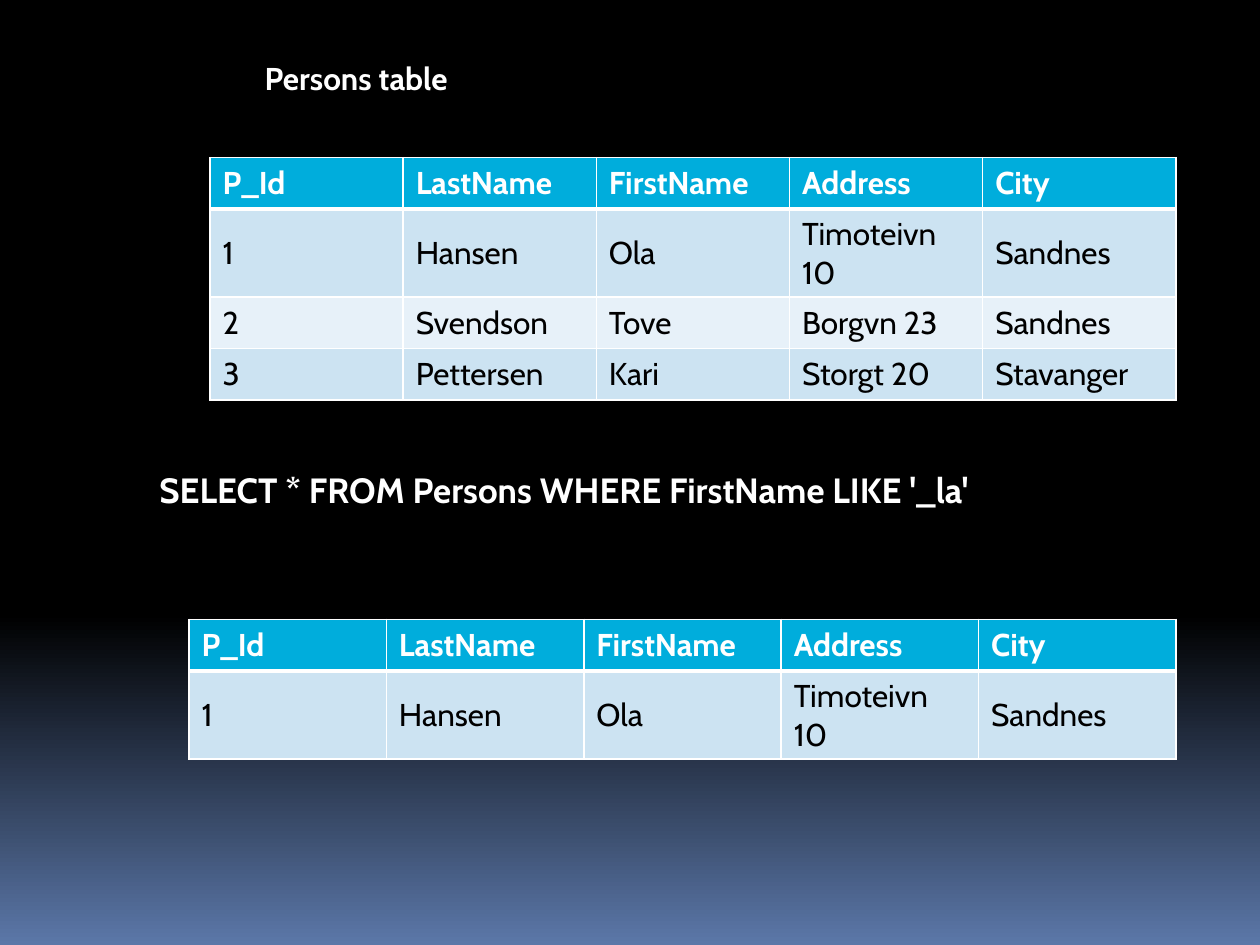
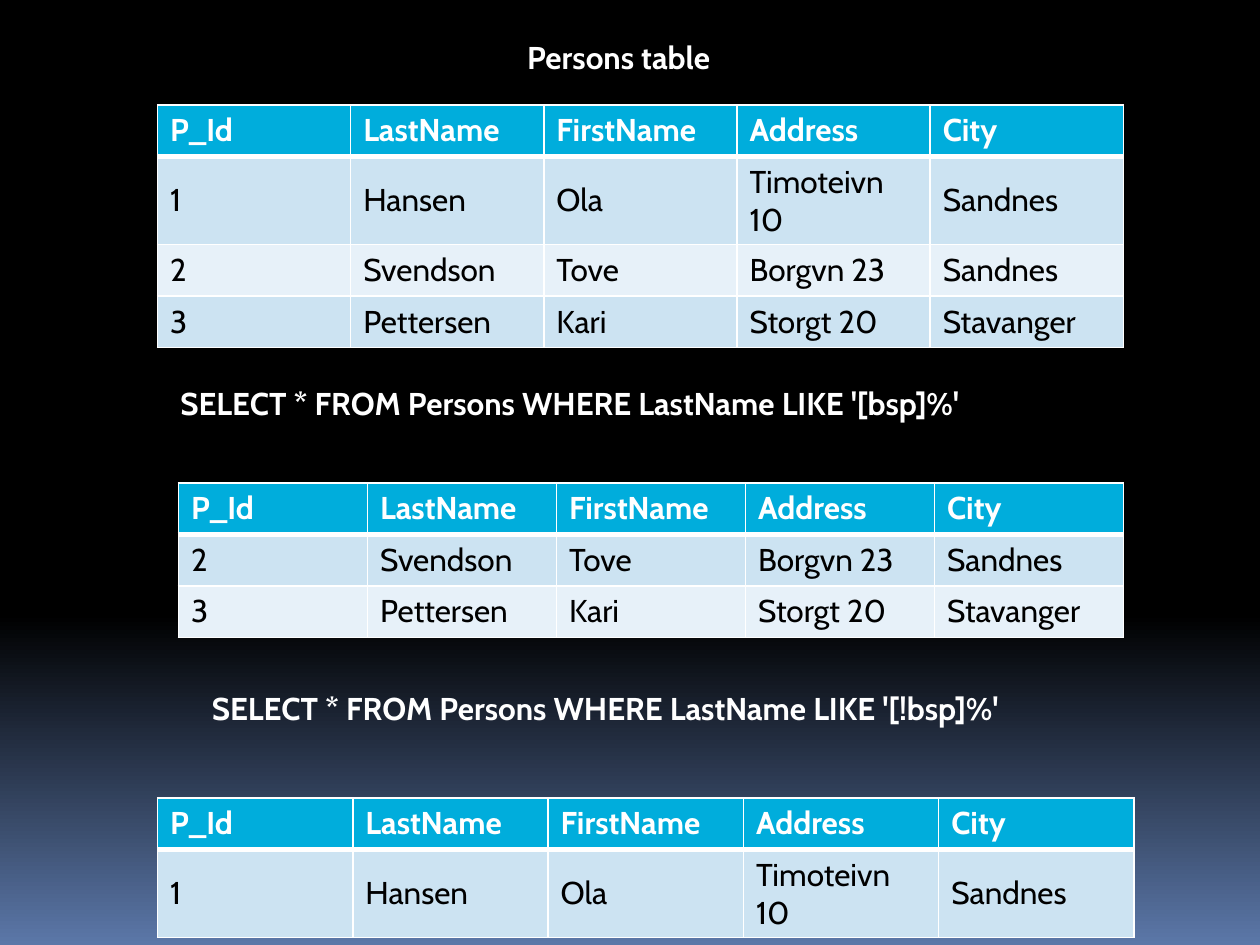
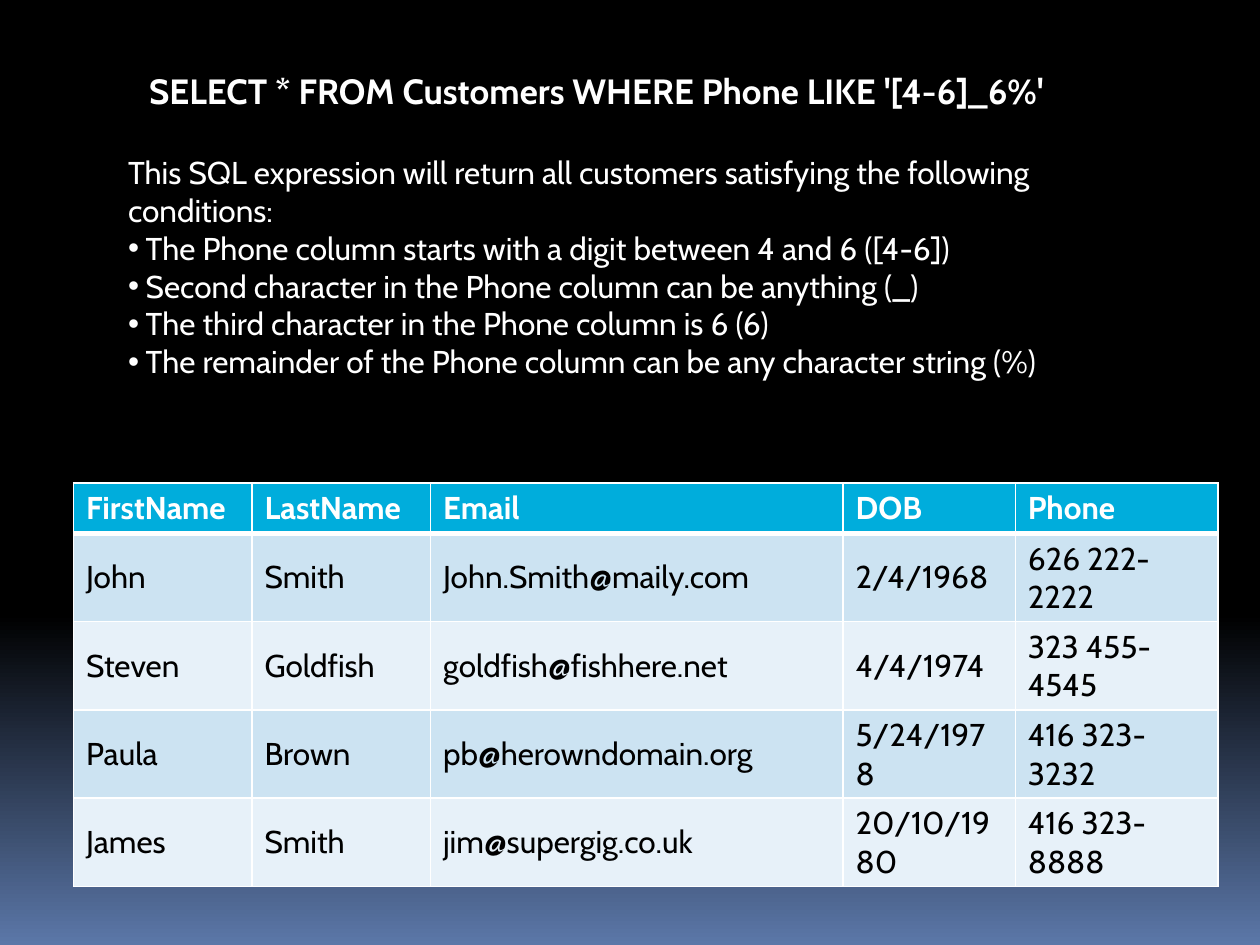
from copy import deepcopy

from pptx import Presentation
from pptx.dml.color import RGBColor
from pptx.enum.text import MSO_ANCHOR, MSO_AUTO_SIZE, PP_ALIGN
from pptx.oxml import parse_xml
from pptx.oxml.ns import nsdecls, qn
from pptx.util import Inches, Pt

TOP, MIDDLE = MSO_ANCHOR.TOP, MSO_ANCHOR.MIDDLE
GROW = MSO_AUTO_SIZE.SHAPE_TO_FIT_TEXT
LEFT = PP_ALIGN.LEFT
TITLE_ONLY, TITLE_AND_BODY = 5, 1

FONT = "Cabin"
WHITE, BLACK, DUSK = "FFFFFF", "000000", "5B77A8"
HEADER, BAND_DARK, BAND_LIGHT = "00ADDC", "CCE3F2", "E7F1F9"
GRID_COLUMNS, GRID_ROWS = 120, 90
ONE_LINE, TWO_LINES = 4.9, 8.2

PERSON_FIELDS = ["P_Id", "LastName", "FirstName", "Address", "City"]
HANSEN = ["1", "Hansen", "Ola", "Timoteivn 10", "Sandnes"]
SVENDSON = ["2", "Svendson", "Tove", "Borgvn 23", "Sandnes"]
PETTERSEN = ["3", "Pettersen", "Kari", "Storgt 20", "Stavanger"]
PERSONS = [PERSON_FIELDS, HANSEN, SVENDSON, PETTERSEN]
PERSONS_HEIGHTS = [ONE_LINE, TWO_LINES, ONE_LINE, ONE_LINE]

CUSTOMERS = [
    ["FirstName", "LastName", "Email", "DOB", "Phone"],
    ["John", "Smith", "John.Smith@maily.com", "2/4/1968", "626 222-2222"],
    ["Steven", "Goldfish", "goldfish@fishhere.net", "4/4/1974", "323 455-4545"],
    ["Paula", "Brown", "pb@herowndomain.org", "5/24/1978", "416 323-3232"],
    ["James", "Smith", "jim@supergig.co.uk", "20/10/1980", "416 323-8888"],
]
CONDITIONS = [
    "The Phone column starts with a digit between 4 and 6 ([4-6])",
    "Second character in the Phone column can be anything (_)",
    "The third character in the Phone column is 6 (6)",
    "The remainder of the Phone column can be any character string (%)",
]


def rgb(value):
    return RGBColor.from_string(value)


class SqlDeck:
    def __init__(self):
        self.deck = Presentation()
        self.deck.slide_width, self.deck.slide_height = Inches(10), Inches(7.5)
        self.page = None
        self.paint_background()

    def paint_background(self):
        master = self.deck.slide_master
        fill = master.background.fill
        fill.gradient()
        fill.gradient_angle = 270
        first = master.element.find(".//" + qn("a:gsLst"))[0]
        first.addnext(deepcopy(first))
        stops = [(0, BLACK), (0.65, BLACK), (1, DUSK)]
        for stop, (position, color) in zip(fill.gradient_stops, stops):
            stop.position = position
            stop.color.rgb = rgb(color)

    def across(self, columns):
        return round(self.deck.slide_width * columns / GRID_COLUMNS)

    def down(self, rows):
        return round(self.deck.slide_height * rows / GRID_ROWS)

    def frame(self, left, top, width, height):
        return self.across(left), self.down(top), self.across(width), self.down(height)

    def new_page(self, layout=TITLE_ONLY):
        self.page = self.deck.slides.add_slide(self.deck.slide_layouts[layout])

    def set_text(self, para, text, size=18, color=WHITE, bold=False):
        para.text = text
        para.alignment = LEFT
        para.space_before = Pt(0)
        for span in para.runs:
            span.font.name, span.font.size = FONT, Pt(size)
            span.font.bold = bold
            span.font.color.rgb = rgb(color)

    def prepare(self, box, place, wrap=True):
        box.left, box.top, box.width, box.height = self.frame(*place)
        text_frame = box.text_frame
        text_frame.word_wrap = wrap
        text_frame.auto_size = GROW
        text_frame.vertical_anchor = TOP
        return text_frame

    def title(self, text, place, size=18, wrap=False):
        text_frame = self.prepare(self.page.shapes.title, place, wrap)
        self.set_text(text_frame.paragraphs[0], text, size, bold=True)

    def query(self, text, place, size=18):
        box = self.page.shapes.add_textbox(*self.frame(*place))
        text_frame = self.prepare(box, place)
        self.set_text(text_frame.paragraphs[0], text, size, bold=True)

    def bullet_list(self, lead, items, place):
        text_frame = self.prepare(self.page.placeholders[1], place)
        for index, text in enumerate([lead] + items):
            para = text_frame.add_paragraph() if index else text_frame.paragraphs[0]
            properties = para._p.get_or_add_pPr()
            indent = Inches(0.14) if index else 0
            properties.set("marL", str(indent))
            properties.set("indent", str(-indent))
            mark = '<a:buChar %s char="•"/>' if index else "<a:buNone %s/>"
            properties.append(parse_xml(mark % nsdecls("a")))
            self.set_text(para, text)

    def border(self, cell, header):
        properties = cell._tc.get_or_add_tcPr()
        for side in "LRTB":
            width = Pt(3 if header and side == "B" else 1)
            properties.append(parse_xml(
                f'<a:ln{side} {nsdecls("a")} w="{width}"><a:solidFill>'
                f'<a:srgbClr val="{WHITE}"/></a:solidFill></a:ln{side}>'))

    def table(self, records, left, top, widths, heights):
        place = self.frame(left, top, sum(widths), sum(heights))
        table = self.page.shapes.add_table(len(records), len(widths), *place).table
        for column, width in zip(table.columns, widths):
            column.width = self.across(width)
        for index, (row, height, record) in enumerate(zip(table.rows, heights, records)):
            row.height = self.down(height)
            header = index == 0
            fill = HEADER if header else BAND_DARK if index % 2 else BAND_LIGHT
            for cell, text in zip(row.cells, record):
                self.border(cell, header)
                cell.fill.solid()
                cell.fill.fore_color.rgb = rgb(fill)
                cell.vertical_anchor = MIDDLE
                color = WHITE if header else BLACK
                self.set_text(cell.text_frame.paragraphs[0], text, color=color, bold=header)

    def person_table(self, records, left, top, width, heights):
        fields = len(PERSON_FIELDS)
        self.table(records, left, top, [width / fields] * fields, heights)


def main():
    show = SqlDeck()

    show.new_page()
    show.title("Persons table", (24, 5, 20, 4.8))
    show.person_table(PERSONS, 20, 15, 92, PERSONS_HEIGHTS)
    show.query("SELECT * FROM Persons WHERE FirstName LIKE '_la'", (14, 44, 89, 5.3), 20)
    show.person_table([PERSON_FIELDS, HANSEN], 18, 59, 94, [ONE_LINE] * 2)

    show.new_page()
    show.title("Persons table", (49, 3, 20, 4.8))
    show.person_table(PERSONS, 15, 10, 92, PERSONS_HEIGHTS)
    show.query("SELECT * FROM Persons WHERE LastName LIKE '[bsp]%'", (16, 36, 78, 4.8))
    show.person_table([PERSON_FIELDS, SVENDSON, PETTERSEN], 17, 46, 90, [ONE_LINE] * 3)
    show.query("SELECT * FROM Persons WHERE LastName LIKE '[!bsp]%'", (19, 65, 79, 4.8))
    show.person_table([PERSON_FIELDS, HANSEN], 15, 76, 93, [ONE_LINE] * 2)

    show.new_page(TITLE_AND_BODY)
    show.title("SELECT * FROM Customers WHERE Phone LIKE '[4-6]_6%'",
               (13, 6, 88, 5.3), 20, wrap=True)
    show.bullet_list(
        "This SQL expression will return all customers satisfying the following conditions:",
        CONDITIONS, (11, 14, 94, 23))
    show.table(CUSTOMERS, 7, 46, [17, 17, 39.3, 16.4, 19.3], [4.6] + [7.8] * 4)

    show.deck.save("out.pptx")


if __name__ == "__main__":
    main()
